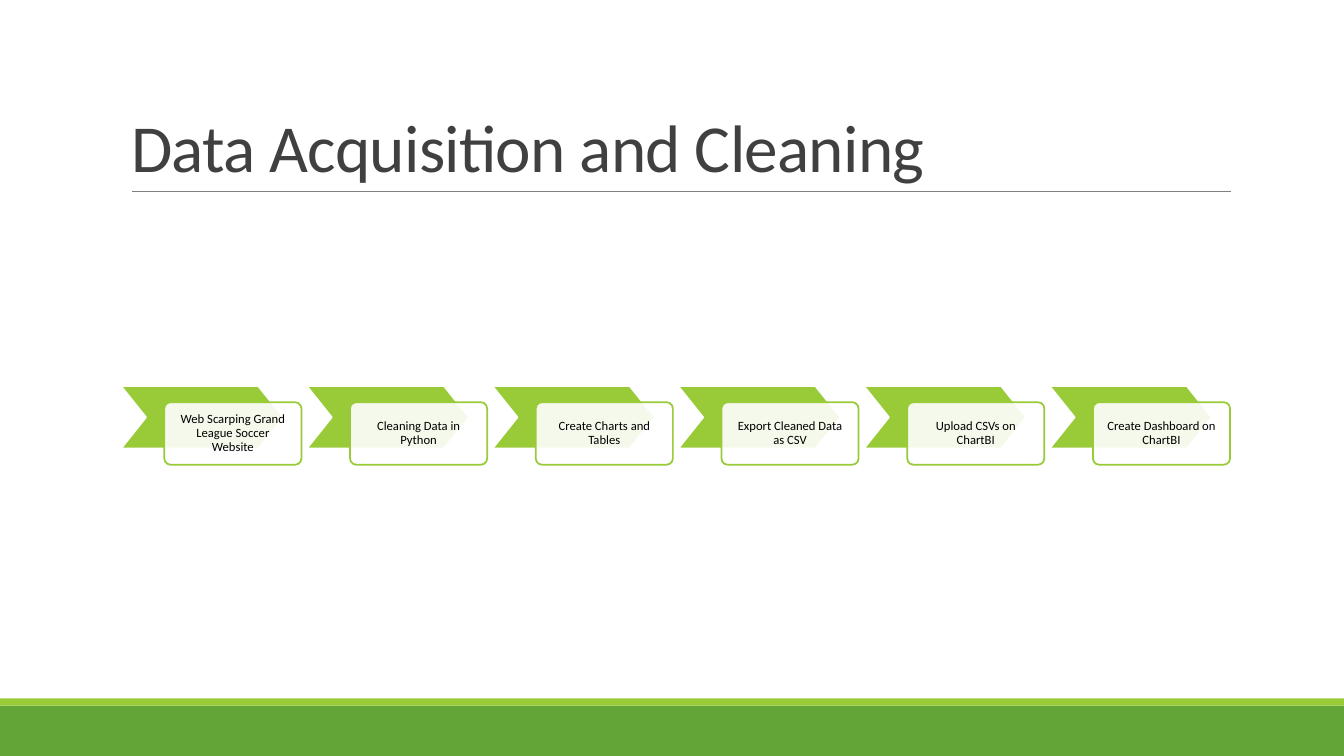
from lxml.etree import SubElement
from pptx import Presentation
from pptx.dml.color import RGBColor
from pptx.enum.shapes import MSO_CONNECTOR, MSO_SHAPE
from pptx.enum.text import MSO_ANCHOR, MSO_AUTO_SIZE, PP_ALIGN
from pptx.oxml.ns import qn
from pptx.util import Inches, Pt

# Content
TITLE = "Data Acquisition and Cleaning"
STEPS = [
    "Web Scarping Grand League Soccer Website",
    "Cleaning Data in Python",
    "Create Charts and Tables",
    "Export Cleaned Data as CSV",
    "Upload CSVs on ChartBI",
    "Create Dashboard on ChartBI",
]

# Format
COLOURS = {
    "band": "63A537", "accent": "99CB38", "rule": "808080",
    "title": "404040", "text": "000000", "white": "FFFFFF",
}
FONT = "Calibri"
WIDTH, HEIGHT = 13.33, 7.5
BAND_HEIGHT, STRIP_HEIGHT = 0.5, 0.07
LEFT, CONTENT_WIDTH = 1.2, 11
TITLE_TOP, RULE_TOP = 0.31, 1.9
CHEVRON = {"width": 1.61, "height": 0.62, "top": 3.83}
CARD = {"width": 1.36, "height": 0.62, "shift": 0.43, "drop": 0.16}
# The last card ends at the right edge of the content
PITCH = (CONTENT_WIDTH - CARD["shift"] - CARD["width"]) / (len(STEPS) - 1)


def colour(name):
    return RGBColor.from_string(COLOURS[name])


def add_box(slide, kind, place, fill, line=None, bend=None):
    box = slide.shapes.add_shape(kind, *map(Inches, place))
    box.shadow.inherit = False
    box.fill.solid()
    box.fill.fore_color.rgb = colour(fill)
    if line:
        box.line.color.rgb = colour(line)
        box.line.width = Pt(1.25)
    else:
        box.line.fill.background()
    if bend is not None:
        box.adjustments[0] = bend
    return box


def write(shape, text, frame_format, para_format, size, ink):
    frame = shape.text_frame
    for name, value in frame_format.items():
        setattr(frame, name, value)
    para = frame.paragraphs[0]
    for name, value in para_format.items():
        setattr(para, name, value)
    span = para.add_run()
    span.text = text
    for name, value in {"name": FONT, "size": Pt(size)}.items():
        setattr(span.font, name, value)
    span.font.color.rgb = colour(ink)
    return span


def add_step(slide, index, text):
    left = LEFT + index * PITCH
    add_box(slide, MSO_SHAPE.CHEVRON,
            (left, CHEVRON["top"], CHEVRON["width"], CHEVRON["height"]),
            "accent", "white", 0.4)
    card = add_box(slide, MSO_SHAPE.ROUNDED_RECTANGLE,
                   (left + CARD["shift"], CHEVRON["top"] + CARD["drop"],
                    CARD["width"], CARD["height"]),
                   "white", "accent", 0.1)
    fill_colour = card.fill._xPr.find(qn("a:solidFill"))[0]
    SubElement(fill_colour, qn("a:alpha"), val="90000")
    margins = {f"margin_{side}": Inches(0.09)
               for side in ("left", "right", "top", "bottom")}
    write(card, text,
          {"word_wrap": True, "vertical_anchor": MSO_ANCHOR.MIDDLE, **margins},
          {"alignment": PP_ALIGN.CENTER, "line_spacing": 0.9}, 9, "text")


def main():
    deck = Presentation()
    deck.slide_width, deck.slide_height = Inches(WIDTH), Inches(HEIGHT)
    page = deck.slides.add_slide(deck.slide_layouts[5])

    # Footer bands
    band_top = HEIGHT - BAND_HEIGHT
    add_box(page, MSO_SHAPE.RECTANGLE, (0, band_top, WIDTH, BAND_HEIGHT), "band")
    add_box(page, MSO_SHAPE.RECTANGLE,
            (0, band_top - STRIP_HEIGHT, WIDTH, STRIP_HEIGHT), "accent")

    # Title and rule
    title = page.shapes.title
    place = (LEFT, TITLE_TOP, CONTENT_WIDTH, RULE_TOP - TITLE_TOP)
    for name, value in zip(("left", "top", "width", "height"), place):
        setattr(title, name, Inches(value))
    span = write(title, TITLE,
                 {"word_wrap": True, "vertical_anchor": MSO_ANCHOR.BOTTOM,
                  "auto_size": MSO_AUTO_SIZE.NONE},
                 {"alignment": PP_ALIGN.LEFT, "line_spacing": 0.85}, 48, "title")
    span.font._element.set("spc", "-50")
    rule = page.shapes.add_connector(
        MSO_CONNECTOR.STRAIGHT,
        *map(Inches, (LEFT + 0.11, RULE_TOP, LEFT + CONTENT_WIDTH + 0.01, RULE_TOP)))
    rule.line.color.rgb = colour("rule")
    rule.line.width = Pt(0.5)
    SubElement(rule._element.spPr, qn("a:effectLst"))

    # Process steps
    for index, text in enumerate(STEPS):
        add_step(page, index, text)

    deck.save("out.pptx")


if __name__ == "__main__":
    main()
